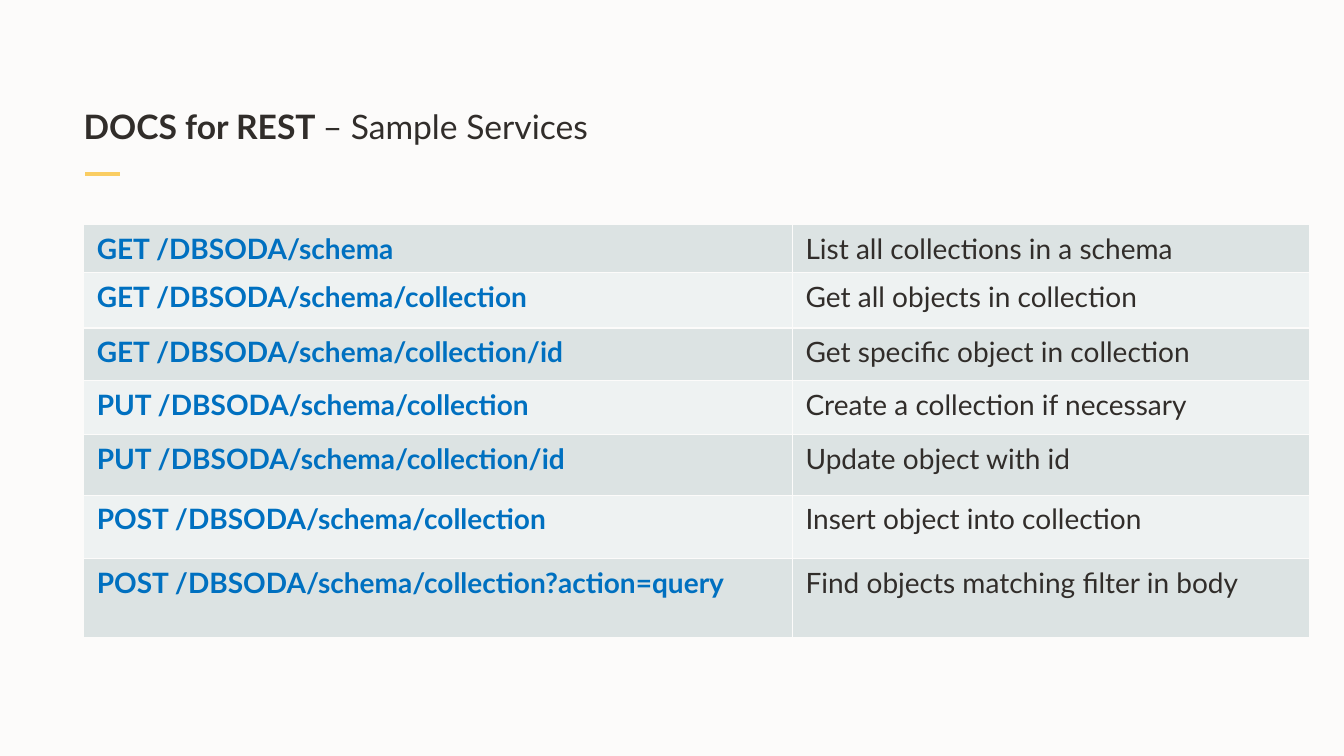
from lxml import etree
from pptx import Presentation
from pptx.dml.color import RGBColor
from pptx.enum import shapes, text
from pptx.oxml import ns
from pptx.util import Inches, Pt

FONT = "Lato"
COLORS = {
    "background": "FCFBFA",
    "ink": "312D2A",
    "accent": "FACD62",
    "endpoint": "0070C0",
    "dark band": "DCE3E3",
    "light band": "EEF2F2",
}
SERVICES = [
    ("GET /DBSODA/schema", "List all collections in a schema", 0.47),
    ("GET /DBSODA/schema/collection", "Get all objects in collection", 0.55),
    ("GET /DBSODA/schema/collection/id", "Get specific object in collection", 0.52),
    ("PUT /DBSODA/schema/collection", "Create a collection if necessary", 0.54),
    ("PUT /DBSODA/schema/collection/id", "Update object with id", 0.6),
    ("POST /DBSODA/schema/collection", "Insert object into collection", 0.63),
    ("POST /DBSODA/schema/collection?action=query", "Find objects matching filter in body", 0.78),
]
ENDPOINT_SHARE = 0.578


def color(name):
    return RGBColor.from_string(COLORS[name])


def set_font(font, size, color_name):
    font.name = FONT
    font.size = Pt(size)
    font.color.rgb = color(color_name)


def add_title(slide, left, top, width, height):
    """Place the heading with a short accent rule below it."""
    box = slide.shapes.add_textbox(Inches(left), Inches(top), Inches(width), Inches(height))
    frame = box.text_frame
    frame.word_wrap = True
    frame.vertical_anchor = text.MSO_ANCHOR.BOTTOM
    frame.margin_left = frame.margin_right = frame.margin_top = frame.margin_bottom = 0
    paragraph = frame.paragraphs[0]
    paragraph.line_spacing = 0.95
    set_font(paragraph.font, 24, "ink")
    for words, bold in (("DOCS for REST ", True), ("– Sample Services", False)):
        run = paragraph.add_run()
        run.text = words
        run.font.bold = bold

    rule_top = Inches(top + height + 0.27)
    rule = slide.shapes.add_connector(
        shapes.MSO_CONNECTOR.STRAIGHT,
        Inches(left + 0.36), rule_top, Inches(left + 0.01), rule_top)
    rule.line.color.rgb = color("accent")
    rule.line.width = Pt(3)
    etree.SubElement(rule._element.spPr, ns.qn("a:effectLst"))


def add_borders(cell, color_name, width):
    properties = cell._tc.get_or_add_tcPr()
    for position, side in enumerate(("a:lnL", "a:lnR", "a:lnT", "a:lnB")):
        line = etree.Element(ns.qn(side), w=str(Pt(width)))
        fill = etree.SubElement(line, ns.qn("a:solidFill"))
        etree.SubElement(fill, ns.qn("a:srgbClr"), val=COLORS[color_name])
        properties.insert(position, line)


def fill_cell(cell, words, color_name, bold, band):
    cell.margin_left = cell.margin_right = Inches(0.13)
    cell.margin_top = cell.margin_bottom = Inches(0.07)
    cell.fill.solid()
    cell.fill.fore_color.rgb = color(band)
    add_borders(cell, "background", 1)
    cell.text = words
    paragraph = cell.text_frame.paragraphs[0]
    set_font(paragraph.font, 20, color_name)
    paragraph.font.bold = bold


def add_services(slide, left, top, width):
    """Place the table of endpoints and what each one does."""
    height = sum(row_height for _, _, row_height in SERVICES)
    table = slide.shapes.add_table(
        len(SERVICES), 2, Inches(left), Inches(top), Inches(width), Inches(height)).table
    table.first_row = table.horz_banding = False
    endpoint_width = round(width * ENDPOINT_SHARE, 2)
    table.columns[0].width = Inches(endpoint_width)
    table.columns[1].width = Inches(width - endpoint_width)
    for index, (endpoint, purpose, row_height) in enumerate(SERVICES):
        table.rows[index].height = Inches(row_height)
        band = "light band" if index % 2 else "dark band"
        fill_cell(table.cell(index, 0), endpoint, "endpoint", True, band)
        fill_cell(table.cell(index, 1), purpose, "ink", False, band)


def main():
    presentation = Presentation()
    presentation.slide_width = Inches(13.33)
    presentation.slide_height = Inches(7.5)
    slide = presentation.slides.add_slide(presentation.slide_layouts[6])
    slide.background.fill.solid()
    slide.background.fill.fore_color.rgb = color("background")
    add_title(slide, 0.83, 0.56, 11.67, 0.9)
    add_services(slide, 0.83, 2.23, 12.16)
    presentation.save("out.pptx")


if __name__ == "__main__":
    main()
